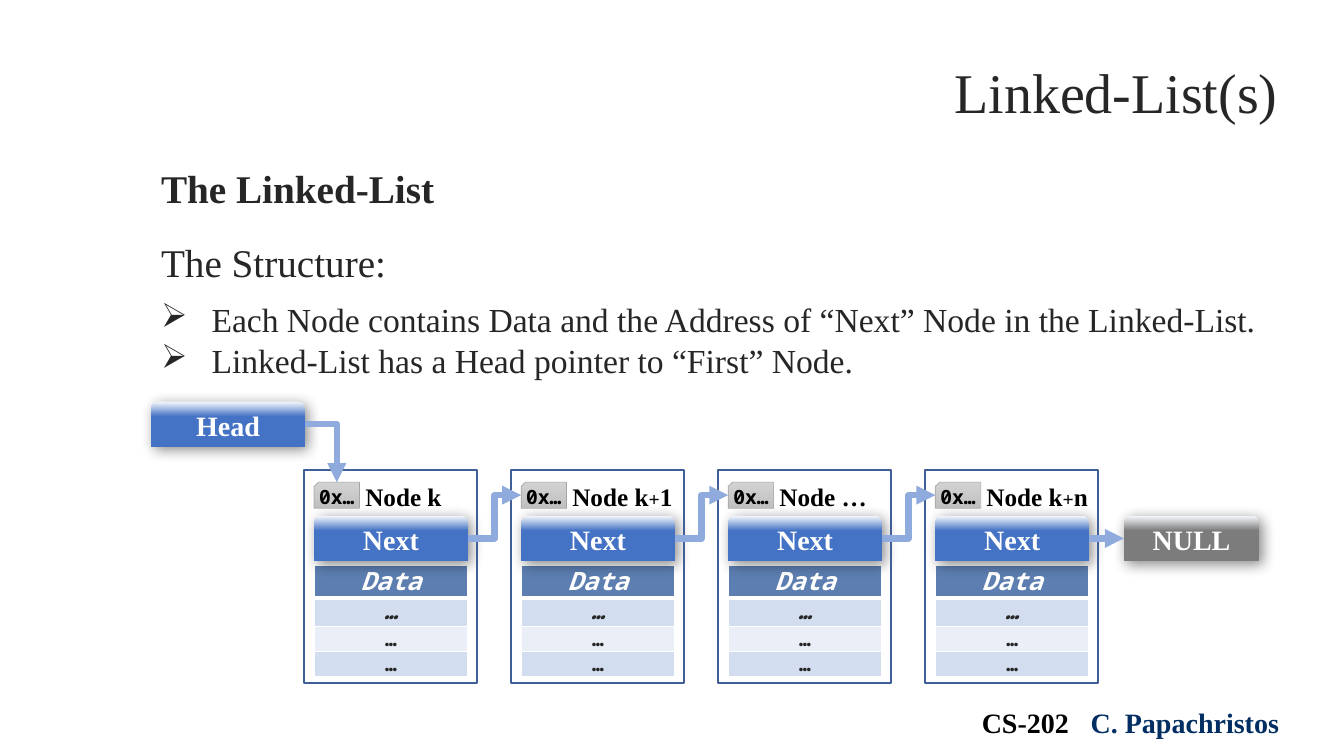
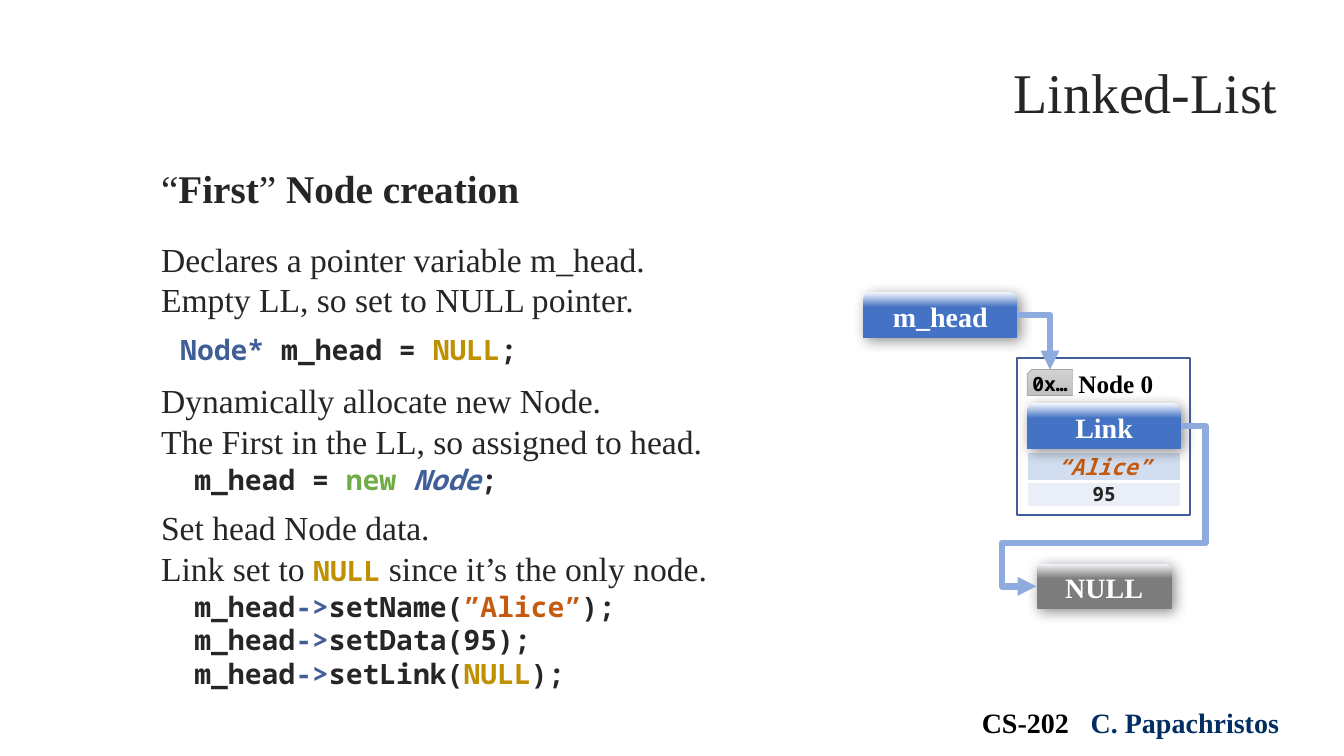
from dataclasses import dataclass, replace

from lxml.etree import SubElement
from pptx import Presentation
from pptx.dml.color import RGBColor
from pptx.enum.shapes import MSO_CONNECTOR as Link, MSO_SHAPE as Preset
from pptx.enum.text import MSO_ANCHOR as Anchor, MSO_AUTO_SIZE as AutoSize, PP_ALIGN as Align
from pptx.oxml.ns import qn
from pptx.util import Inches, Pt

COLUMNS, ROWS = 160, 90
UNIT = Inches(1) / 12

SERIF, MONO = "Times New Roman", "Noto Sans Mono"
WHITE = RGBColor(0xFF, 0xFF, 0xFF)
BLACK = RGBColor(0, 0, 0)
INK = RGBColor(0x26, 0x26, 0x26)
NAVY = RGBColor(0x00, 0x2E, 0x62)
BLUE = RGBColor(0x44, 0x72, 0xC4)
FRAME_BLUE = RGBColor(0x40, 0x5F, 0x98)
ARROW_BLUE = RGBColor(0x8F, 0xAA, 0xDC)
GLOSS = RGBColor(0xF7, 0xFA, 0xFD)
GRAY = RGBColor(0x7C, 0x7C, 0x7C)
TAG_LIGHT = RGBColor(0xD2, 0xD2, 0xD2)
TAG_DARK = RGBColor(0xC0, 0xC0, 0xC0)
TAG_EDGE = RGBColor(0xA5, 0xA5, 0xA5)
HEADER_FILL = RGBColor(0x5C, 0x7E, 0xB0)
BAND_DARK = RGBColor(0xD2, 0xDE, 0xEF)
BAND_LIGHT = RGBColor(0xEA, 0xEF, 0xF7)
GOLD = RGBColor(0xBF, 0x90, 0x00)
GREEN = RGBColor(0x70, 0xAD, 0x47)
ORANGE = RGBColor(0xC5, 0x5A, 0x11)


@dataclass(frozen=True)
class Style:
    size: float
    color: RGBColor = INK
    bold: bool = False
    italic: bool = False
    font: str = SERIF


TITLE = Style(40)
HEADING = Style(28)
HEADING_BOLD = Style(28, bold=True)
PROSE = Style(24)
CODE = Style(20, bold=True, font=MONO)
CODE_TYPE = replace(CODE, color=FRAME_BLUE)
CODE_NULL = replace(CODE, color=GOLD)
PILL_TEXT = Style(20, WHITE, True)
LABEL = Style(18, BLACK, True)
LABEL_PLUS = replace(LABEL, size=14)
ADDRESS = Style(14, BLACK, True, font=MONO)
FIELD = Style(14, bold=True, font=MONO)
LINE_POINTS = {28: 33.8, 24: 29, 20: 24}


@dataclass(frozen=True)
class Box:
    x: float
    y: float
    w: float
    h: float

    def inner(self, dx, dy, w, h):
        return Box(self.x + dx, self.y + dy, w, h)

    def emu(self):
        return [grid(v) for v in (self.x, self.y, self.w, self.h)]

    def right(self):
        return self.x + self.w, self.y + self.h / 2

    def left(self):
        return self.x, self.y + self.h / 2

    def top(self):
        return self.x + self.w / 2, self.y


def grid(units):
    return round(units * UNIT)


def write(paragraph, runs, align=Align.LEFT):
    paragraph.alignment = align
    for text, style in runs:
        run = paragraph.add_run()
        run.text = text
        font = run.font
        font.name, font.size = style.font, Pt(style.size)
        font.bold, font.italic = style.bold, style.italic
        font.color.rgb = style.color


def text_frame(slide, box, wrap=True):
    frame = slide.shapes.add_textbox(*box.emu()).text_frame
    frame.word_wrap = wrap
    return frame


def preset(slide, kind, box):
    shape = slide.shapes.add_shape(kind, *box.emu())
    shape.shadow.inherit = False
    return shape


def gradient(shape, start, end, end_at):
    shape.fill.gradient()
    shape.fill.gradient_angle = 270
    for stop, color, position in zip(shape.fill.gradient_stops, (start, end), (0, end_at)):
        stop.color.rgb = color
        stop.position = position


def add_pill(slide, box, text, color=BLUE):
    pill = preset(slide, Preset.ROUND_2_SAME_RECTANGLE, box)
    gradient(pill, GLOSS, color, 0.33)
    pill.line.fill.background()
    effects = pill.element.spPr.find(qn("a:effectLst"))
    shadow = SubElement(effects, qn("a:outerShdw"), blurRad=str(Pt(10)), dist=str(Pt(3)),
                        dir="2700000", algn="tl", rotWithShape="0")
    SubElement(SubElement(shadow, qn("a:srgbClr"), val="000000"), qn("a:alpha"), val="45000")
    pill.text_frame.vertical_anchor = Anchor.MIDDLE
    write(pill.text_frame.paragraphs[0], [(text, PILL_TEXT)], Align.CENTER)
    return box


def add_arrow(slide, start, end, kind=Link.ELBOW, route=None, bends=()):
    points = [grid(v) for v in (*start, *end)]
    arrow = slide.shapes.add_connector(kind, *points)
    arrow.line.color.rgb = ARROW_BLUE
    arrow.line.width = Pt(4.5)
    properties = arrow.element.spPr
    SubElement(properties.find(qn("a:ln")), qn("a:tailEnd"), type="triangle")
    SubElement(properties, qn("a:effectLst"))
    geometry = properties.find(qn("a:prstGeom"))
    if route:
        geometry.set("prst", route)
    for number, share in enumerate(bends, 1):
        SubElement(geometry.find(qn("a:avLst")), qn("a:gd"),
                   name=f"adj{number}", fmla=f"val {round(share * 100000)}")


def cell_borders(cell, bottom):
    properties = cell._tc.get_or_add_tcPr()
    for position, (side, points) in enumerate((("L", 1), ("R", 1), ("T", 1), ("B", bottom))):
        line = SubElement(properties, qn(f"a:ln{side}"), w=str(Pt(points)))
        SubElement(SubElement(line, qn("a:solidFill")), qn("a:srgbClr"), val=str(WHITE))
        properties.insert(position, line)


def add_fields(slide, x, y, width, fields):
    heights = {18: 3.86, 16: 3.43, 14: 3.0}
    total = sum(heights[style.size] for _, style, _ in fields)
    table = slide.shapes.add_table(len(fields), 1, *Box(x, y, width, total).emu()).table
    for index, (text, style, fill) in enumerate(fields):
        table.rows[index].height = grid(heights[style.size])
        cell = table.cell(index, 0)
        cell.fill.solid()
        cell.fill.fore_color.rgb = fill
        cell.margin_left = cell.margin_right = Inches(0.07)
        cell.margin_top = cell.margin_bottom = 0
        cell.vertical_anchor = Anchor.BOTTOM
        paragraph = cell.text_frame.paragraphs[0]
        paragraph.line_spacing = Pt(round(style.size * 1.2))
        write(paragraph, [(text, style)], Align.CENTER)
        cell_borders(cell, 3 if index == 0 else 1)


def add_node(slide, box, label, pointer, fields):
    add_fields(slide, box.x + 1.2, box.y + 11.3, 18.3, fields)
    pill = add_pill(slide, box.inner(1.2, 5.4, 18.3, 5.4), pointer)
    tag = box.inner(1.2, 1.4, 5.4, 3.1)
    address_tag = preset(slide, Preset.SNIP_1_RECTANGLE, tag)
    address_tag.element.spPr.xfrm.set("flipH", "1")
    gradient(address_tag, TAG_LIGHT, TAG_DARK, 1)
    address_tag.line.color.rgb = TAG_EDGE
    address_tag.line.width = Pt(0.5)
    border = preset(slide, Preset.RECTANGLE, box)
    border.fill.background()
    border.line.color.rgb = FRAME_BLUE
    border.line.width = Pt(1.5)
    address = text_frame(slide, box.inner(0.6, 1.1, 6.6, 4.1), wrap=False)
    write(address.paragraphs[0], [("0x…", ADDRESS)], Align.CENTER)
    caption = text_frame(slide, box.inner(6.1, 0.7, 15, 4.8), wrap=False)
    write(caption.paragraphs[0], label)
    return tag, pill


def add_footer(slide, box):
    paragraph = text_frame(slide, box).paragraphs[0]
    write(paragraph, [("CS-202\t", LABEL_FOOTER), ("C. Papachristos", AUTHOR)])
    tabs = SubElement(paragraph._p.get_or_add_pPr(), qn("a:tabLst"))
    SubElement(tabs, qn("a:tab"), pos=str(Inches(1.08)), algn="l")


LABEL_FOOTER = Style(20, BLACK, True)
AUTHOR = Style(20, NAVY, True)


def add_body(slide, box, lines):
    frame = text_frame(slide, box)
    for index, (before, indent, bullet, runs) in enumerate(lines):
        paragraph = frame.paragraphs[0] if index == 0 else frame.add_paragraph()
        paragraph.line_spacing = Pt(LINE_POINTS[runs[0][1].size])
        paragraph.space_before = Pt(before)
        write(paragraph, runs)
        properties = paragraph._p.get_or_add_pPr()
        properties.set("marL", str(Inches(indent)))
        if bullet:
            properties.set("indent", str(-Inches(indent)))
            SubElement(properties, qn("a:buChar"), char=bullet)


def start_slide(deck, title):
    slide = deck.slides.add_slide(deck.slide_layouts[5])
    heading = slide.shapes.title
    heading.left, heading.top, heading.width, heading.height = Box(12.7, 6.9, 140.6, 8.5).emu()
    frame = heading.text_frame
    frame.auto_size = AutoSize.NONE
    frame.word_wrap = True
    frame.vertical_anchor = Anchor.BOTTOM
    write(frame.paragraphs[0], [(title, TITLE)], Align.RIGHT)
    add_footer(slide, Box(115.7, 83.4, 38.4, 5.3))
    return slide


def structure_slide(deck):
    slide = start_slide(deck, "Linked-List(s)")
    add_body(slide, Box(18, 19, 137.2, 62.9), [
        (0, 0, None, [("The Linked-List", HEADING_BOLD)]),
        (19, 0, None, [("The Structure:", HEADING)]),
        (9.5, 0.5, "➢", [("Each Node contains Data and the Address of “Next” Node "
                          "in the Linked-List.", PROSE)]),
        (0, 0.5, "➢", [("Linked-List has a Head pointer to “First” Node.", PROSE)]),
    ])
    fields = [
        ("Data", replace(FIELD, size=18, color=WHITE, italic=True), HEADER_FILL),
        ("…", replace(FIELD, size=16, italic=True), BAND_DARK),
        ("…", FIELD, BAND_LIGHT),
        ("…", FIELD, BAND_DARK),
    ]
    labels = [
        [("Node k", LABEL)],
        [("Node k", LABEL), ("+", LABEL_PLUS), ("1", LABEL)],
        [("Node …", LABEL)],
        [("Node k", LABEL), ("+", LABEL_PLUS), ("n", LABEL)],
    ]
    nodes = [add_node(slide, Box(36.2 + 24.65 * place, 56, 20.6, 25.3), label, "Next", fields)
             for place, label in enumerate(labels)]
    head = add_pill(slide, Box(18, 47.8, 18.3, 5.4), "Head")
    null = add_pill(slide, Box(133.8, 61.4, 16.1, 5.4), "NULL", GRAY)
    add_arrow(slide, head.right(), nodes[0][0].top(), route="bentConnector2")
    for (_, pointer), (target, _) in zip(nodes, nodes[1:]):
        add_arrow(slide, pointer.right(), target.left())
    add_arrow(slide, nodes[-1][1].right(), null.left(), Link.STRAIGHT)


def call(name, argument, style):
    return [("m_head", CODE), ("->", CODE_TYPE), (f"{name}(", CODE), (argument, style), (");", CODE)]


def creation_slide(deck):
    slide = start_slide(deck, "Linked-List")
    add_body(slide, Box(18, 19, 126.2, 62.9), [
        (0, 0, None, [("“", HEADING), ("First", HEADING_BOLD), ("”", HEADING),
                      (" Node creation", HEADING_BOLD)]),
        (19, 0, None, [("Declares a pointer variable m_head.", PROSE)]),
        (0, 0, None, [("Empty LL, so set to NULL pointer.", PROSE)]),
        (9.5, 0.19, None, [("Node* ", CODE_TYPE), ("m_head = ", CODE), ("NULL", CODE_NULL),
                           (";", CODE)]),
        (9.5, 0, None, [("Dynamically allocate new Node.", PROSE)]),
        (0, 0, None, [("The First in the LL, so assigned to head.", PROSE)]),
        (1, 0.33, None, [("m_head = ", CODE), ("new ", replace(CODE, color=GREEN)),
                         ("Node", replace(CODE_TYPE, italic=True)), (";", CODE)]),
        (7.5, 0, None, [("Set head Node data.", PROSE)]),
        (0, 0, None, [("Link set to ", PROSE), ("NULL", CODE_NULL),
                      (" since it’s the only node.", PROSE)]),
        (1, 0.33, None, call("setName", "”Alice”", replace(CODE, color=ORANGE))),
        (0, 0.33, None, call("setData", "95", CODE)),
        (0, 0.33, None, call("setLink", "NULL", CODE_NULL)),
    ])
    tag, link = add_node(slide, Box(121.1, 42.6, 20.6, 18.7), [("Node 0", LABEL)], "Link", [
        ("“Alice”", replace(FIELD, size=16, color=ORANGE, italic=True), BAND_DARK),
        ("95", FIELD, BAND_LIGHT),
    ])
    head = add_pill(slide, Box(102.8, 34.8, 18.3, 5.4), "m_head")
    null = add_pill(slide, Box(123.4, 67.1, 16.1, 5.4), "NULL", GRAY)
    add_arrow(slide, head.right(), tag.top(), route="bentConnector2")
    add_arrow(slide, link.right(), null.left(), route="bentConnector5", bends=(-0.17, 0.73, 1.24))


def main():
    deck = Presentation()
    deck.slide_width, deck.slide_height = grid(COLUMNS), grid(ROWS)
    structure_slide(deck)
    creation_slide(deck)
    deck.save("out.pptx")


if __name__ == "__main__":
    main()
